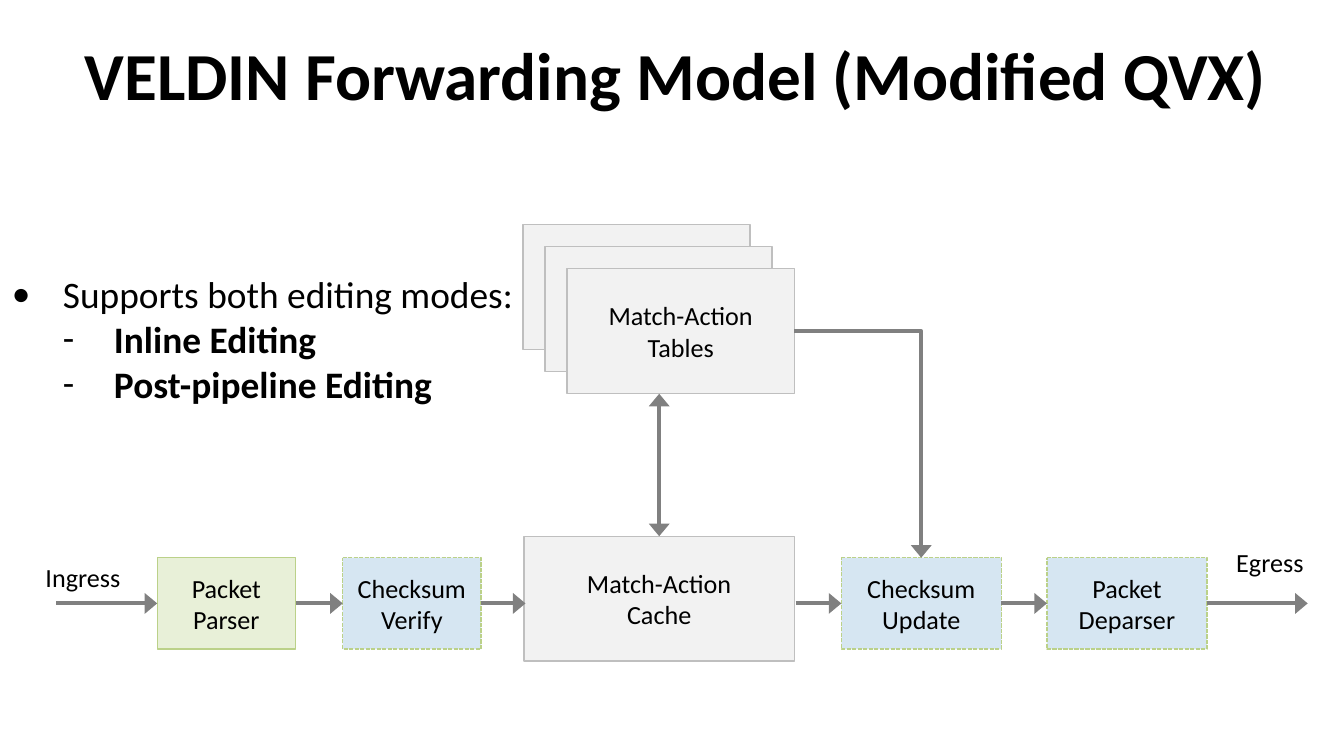
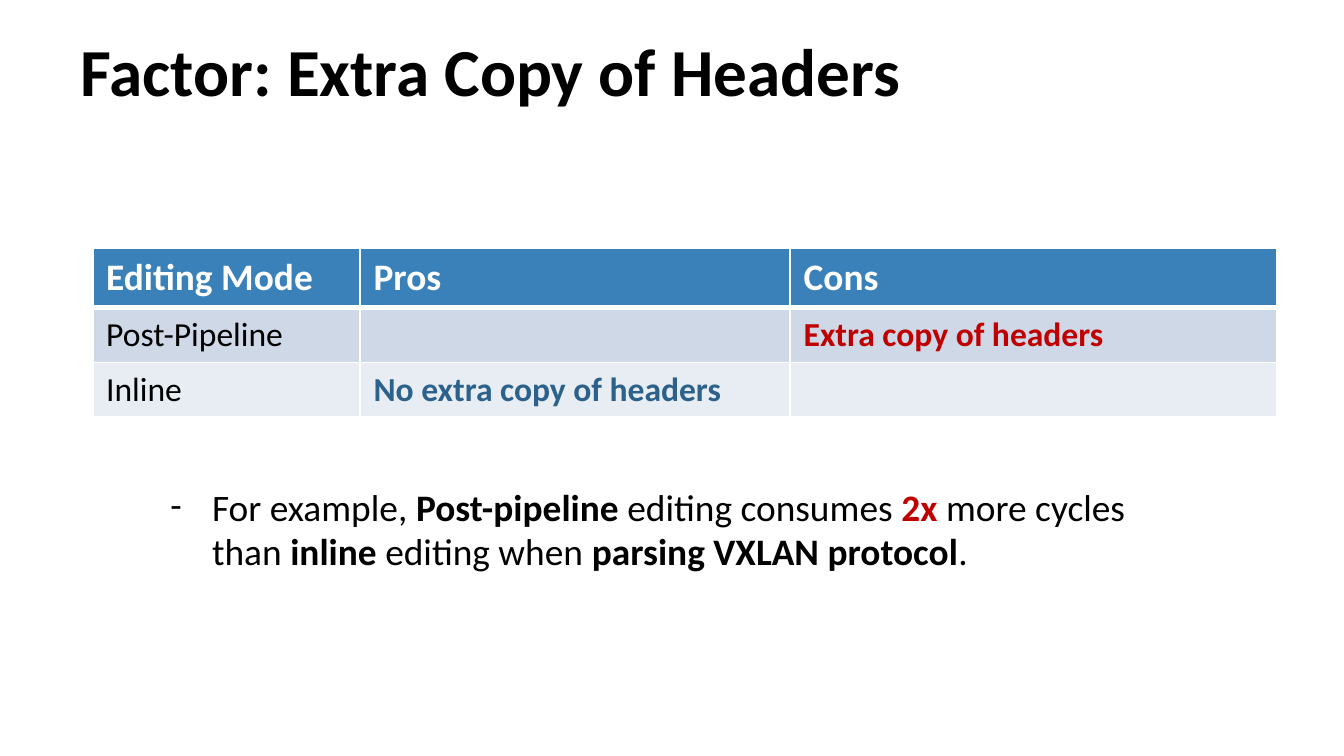
"""Build two slides on a forwarding model and its header editing modes."""
from dataclasses import dataclass
from typing import Any, NamedTuple

from lxml.etree import SubElement
from pptx import Presentation
from pptx.dml.color import RGBColor
from pptx.enum.dml import MSO_LINE
from pptx.enum.shapes import MSO_CONNECTOR, MSO_SHAPE
from pptx.enum.text import MSO_ANCHOR, MSO_AUTO_SIZE, PP_ALIGN
from pptx.oxml.ns import qn
from pptx.util import Emu, Inches, Pt

WIDTH, HEIGHT = Inches(10), Inches(5.625)
UNIT = WIDTH / 100
TITLE_ONLY = 5
TOP, LEFT, BOTTOM, RIGHT = range(4)


@dataclass(frozen=True)
class Theme:
    font: str = "Calibri"
    title_size: int = 36
    body_size: int = 20
    cell_size: int = 18
    label_size: int = 14
    text: str = "000000"
    white: str = "FFFFFF"
    accent: str = "C00000"
    benefit: str = "2B618B"
    arrow: str = "808080"
    header: str = "3A81BA"
    bands: tuple[str, ...] = ("CED8E7", "E8EDF3")


THEME = Theme()


class Area(NamedTuple):
    column: float
    row: float
    columns: float
    rows: float


class Span(NamedTuple):
    text: str
    bold: bool = False
    color: str = THEME.text


class Line(NamedTuple):
    spans: tuple[Span, ...]
    level: int = 0
    bullet: str = ""
    hang: float = 0


class Look(NamedTuple):
    fill: str
    border: str
    dash: Any = None


class Box(NamedTuple):
    area: Area
    look: Look
    lines: tuple[str, ...] = ()


class Point(NamedTuple):
    column: float
    row: float


class Joint(NamedTuple):
    box: str
    side: int


class Arrow(NamedTuple):
    start: Point | Joint
    end: Point | Joint
    double: bool = False
    elbow: bool = False


PLAIN = Look("F2F2F2", "BFBFBF")
PARSER = Look("E8F0D8", "BBD189")
OPTIONAL = Look("D6E6F2", "BBD189", MSO_LINE.SQUARE_DOT)

ROW_TOP, ROW_HEIGHT = 41.5, 6.8
ROW_MIDDLE = ROW_TOP + ROW_HEIGHT / 2
CARD_STEP = 1.65


def stage(column: float, columns: float, look: Look, *lines: str) -> Box:
    """Describe one box of the pipeline row."""
    return Box(Area(column, ROW_TOP, columns, ROW_HEIGHT), look, lines)


def card(depth: int, *lines: str) -> Box:
    """Describe one card of the stacked tables."""
    shift = CARD_STEP * depth
    return Box(Area(42.2 - shift, 20 - shift, 16.9, 9.3), PLAIN, lines)


BOXES = {
    "back": card(2),
    "middle": card(1),
    "tables": card(0, "Match-Action", "Tables"),
    "parser": stage(11.7, 10.3, PARSER, "Packet", "Parser"),
    "verify": stage(25.5, 10.3, OPTIONAL, "Checksum", "Verify"),
    "cache": Box(Area(39, 39.9, 20.1, 9.3), PLAIN, ("Match-Action", "Cache")),
    "update": stage(62.6, 11.9, OPTIONAL, "Checksum Update"),
    "deparser": stage(77.9, 11.9, OPTIONAL, "Packet", "Deparser"),
}
ARROWS = (
    Arrow(Point(4.2, ROW_MIDDLE), Joint("parser", LEFT)),
    Arrow(Joint("parser", RIGHT), Joint("verify", LEFT)),
    Arrow(Joint("verify", RIGHT), Point(39.1, ROW_MIDDLE)),
    Arrow(Point(59.2, ROW_MIDDLE), Joint("update", LEFT)),
    Arrow(Joint("update", RIGHT), Joint("deparser", LEFT)),
    Arrow(Joint("deparser", RIGHT), Point(97.3, ROW_MIDDLE)),
    Arrow(Point(49.05, 29.3), Joint("cache", TOP), double=True),
    Arrow(Joint("tables", RIGHT), Joint("update", TOP), elbow=True),
)
PORTS = (("Ingress", Area(2.4, 41.3, 7.6, 3.4)), ("Egress", Area(91, 40.2, 7, 3.4)))
MODES = (
    Line((Span("Supports both editing modes:"),), 0, "•", 0.38),
    Line((Span("Inline Editing", True),), 1, "-", 0.38),
    Line((Span("Post-pipeline Editing", True),), 1, "-", 0.38),
)
EXAMPLE = Line((
    Span("For example, "), Span("Post-pipeline", True), Span(" editing consumes "),
    Span("2x ", True, THEME.accent), Span("more cycles than "), Span("inline ", True),
    Span("editing when "), Span("parsing VXLAN protocol", True), Span("."),
), 0, "-", 0.31)
TABLE_COLUMNS, TABLE_ROWS = (19.9, 32, 36.2), (4.3, 4, 4)
TABLE = (
    tuple(Span(name, True, THEME.white) for name in ("Editing Mode", "Pros", "Cons")),
    (Span("Post-Pipeline"), None, Span("Extra copy of headers", True, THEME.accent)),
    (Span("Inline"), Span("No extra copy of headers", True, THEME.benefit), None),
)


def length(units: float) -> Emu:
    """Turn grid units into a length."""
    return Emu(round(units * UNIT))


def place(area: Area) -> tuple[Emu, ...]:
    """Turn a grid area into left, top, width and height."""
    return tuple(length(units) for units in area)


def assign(target: Any, values: dict[str, Any]) -> None:
    """Set each named attribute on the target."""
    for name, value in values.items():
        setattr(target, name, value)


def write(frame: Any, lines: tuple[Line, ...], size: int, align: Any = PP_ALIGN.LEFT) -> None:
    """Fill a text frame with formatted lines."""
    for index, line in enumerate(lines):
        paragraph = frame.add_paragraph() if index else frame.paragraphs[0]
        assign(paragraph, {"alignment": align, "level": line.level})
        if line.bullet:
            properties = paragraph._p.get_or_add_pPr()
            properties.set("marL", str(Inches(line.hang * (line.level + 1))))
            properties.set("indent", str(-Inches(line.hang)))
            SubElement(properties, qn("a:buFont")).set("typeface", THEME.font)
            SubElement(properties, qn("a:buChar")).set("char", line.bullet)
        for span in line.spans:
            run = paragraph.add_run()
            run.text = span.text
            assign(run.font, {"name": THEME.font, "size": Pt(size), "bold": span.bold})
            run.font.color.rgb = RGBColor.from_string(span.color)


def add_titled_slide(presentation: Any, text: str, area: Area) -> Any:
    """Add a slide and format its title."""
    slide = presentation.slides.add_slide(presentation.slide_layouts[TITLE_ONLY])
    title = slide.shapes.title
    assign(title, dict(zip(("left", "top", "width", "height"), place(area))))
    margins = {f"margin_{side}": Inches(0.1) for side in ("left", "top", "right", "bottom")}
    assign(title.text_frame, {"vertical_anchor": MSO_ANCHOR.BOTTOM, "word_wrap": True,
                              "auto_size": MSO_AUTO_SIZE.NONE, **margins})
    write(title.text_frame, (Line((Span(text, True),)),), THEME.title_size)
    return slide


def add_text(slide: Any, area: Area, lines: tuple[Line, ...], size: int, wrap: bool = True) -> None:
    """Add a text box that grows with its text."""
    frame = slide.shapes.add_textbox(*place(area)).text_frame
    assign(frame, {"word_wrap": wrap, "auto_size": MSO_AUTO_SIZE.SHAPE_TO_FIT_TEXT})
    write(frame, lines, size)


def add_box(slide: Any, box: Box) -> Any:
    """Draw one box with its centred label."""
    shape = slide.shapes.add_shape(MSO_SHAPE.ROUNDED_RECTANGLE, *place(box.area))
    shape.adjustments[0] = 0
    shape.shadow.inherit = False
    shape.fill.solid()
    shape.fill.fore_color.rgb = RGBColor.from_string(box.look.fill)
    shape.line.color.rgb = RGBColor.from_string(box.look.border)
    assign(shape.line, {"width": Pt(0.75), "dash_style": box.look.dash})
    assign(shape.text_frame, {"vertical_anchor": MSO_ANCHOR.MIDDLE, "word_wrap": True})
    lines = tuple(Line((Span(text),)) for text in box.lines)
    write(shape.text_frame, lines, THEME.label_size, PP_ALIGN.CENTER)
    return shape


def add_arrow(slide: Any, arrow: Arrow, shapes: dict[str, Any]) -> None:
    """Draw an arrow and join its ends to boxes."""
    kind = MSO_CONNECTOR.ELBOW if arrow.elbow else MSO_CONNECTOR.STRAIGHT
    ends = (arrow.start, arrow.end)
    points = [length(units) for end in ends
              for units in (end if isinstance(end, Point) else (0, 0))]
    connector = slide.shapes.add_connector(kind, *points)
    for end, connect in zip(ends, (connector.begin_connect, connector.end_connect)):
        if isinstance(end, Joint):
            connect(shapes[end.box], end.side)
    connector.line.color.rgb = RGBColor.from_string(THEME.arrow)
    connector.line.width = Pt(2.25)
    properties = connector.element.spPr
    if arrow.elbow:
        properties.find(qn("a:prstGeom")).set("prst", "bentConnector2")
    for tag in ("a:headEnd", "a:tailEnd") if arrow.double else ("a:tailEnd",):
        tip = SubElement(properties.find(qn("a:ln")), qn(tag))
        for name, value in {"type": "triangle", "w": "lg", "len": "med"}.items():
            tip.set(name, value)
    SubElement(properties, qn("a:effectLst"))


def format_cell(cell: Any, fill: str, bottom: float) -> None:
    """Give a cell white borders and a fill."""
    properties = cell._tc.get_or_add_tcPr()
    for side, width in {"L": 1, "R": 1, "T": 1, "B": bottom}.items():
        border = SubElement(properties, qn(f"a:ln{side}"))
        border.set("w", str(Pt(width)))
        SubElement(SubElement(border, qn("a:solidFill")), qn("a:srgbClr")).set("val", THEME.white)
    cell.fill.solid()
    cell.fill.fore_color.rgb = RGBColor.from_string(fill)


def add_mode_table(slide: Any) -> None:
    """Draw the table that compares the editing modes."""
    area = Area(6.9, 18.5, sum(TABLE_COLUMNS), sum(TABLE_ROWS))
    table = slide.shapes.add_table(len(TABLE_ROWS), len(TABLE_COLUMNS), *place(area)).table
    table.horz_banding = False
    for column, units in zip(table.columns, TABLE_COLUMNS):
        column.width = length(units)
    for row, units in zip(table.rows, TABLE_ROWS):
        row.height = length(units)
    for row_index, (spans, fill) in enumerate(zip(TABLE, (THEME.header, *THEME.bands))):
        size = THEME.cell_size if row_index else THEME.body_size
        for column_index, span in enumerate(spans):
            cell = table.cell(row_index, column_index)
            format_cell(cell, fill, 1 if row_index else 3)
            if span:
                write(cell.text_frame, (Line((span,)),), size)


def build_model_slide(presentation: Any) -> None:
    """Build the slide with the forwarding pipeline."""
    slide = add_titled_slide(presentation, "VELDIN Forwarding Model (Modified QVX)",
                             Area(5.3, 2.4, 92.7, 7.1))
    shapes = {name: add_box(slide, box) for name, box in BOXES.items()}
    for arrow in ARROWS:
        add_arrow(slide, arrow, shapes)
    for text, area in PORTS:
        add_text(slide, area, (Line((Span(text),)),), THEME.label_size, wrap=False)
    add_text(slide, Area(-0.1, 19.7, 39.3, 11.1), MODES, THEME.body_size)


def build_factor_slide(presentation: Any) -> None:
    """Build the slide with the table of editing modes."""
    slide = add_titled_slide(presentation, "Factor: Extra Copy of Headers", Area(5, 2.3, 90, 6.9))
    add_mode_table(slide)
    add_text(slide, Area(11.7, 35.5, 76.6, 7.7), (EXAMPLE,), THEME.body_size)


def main() -> None:
    """Build and save the presentation."""
    presentation = Presentation()
    assign(presentation, {"slide_width": WIDTH, "slide_height": HEIGHT})
    build_model_slide(presentation)
    build_factor_slide(presentation)
    presentation.save("out.pptx")


if __name__ == "__main__":
    main()
